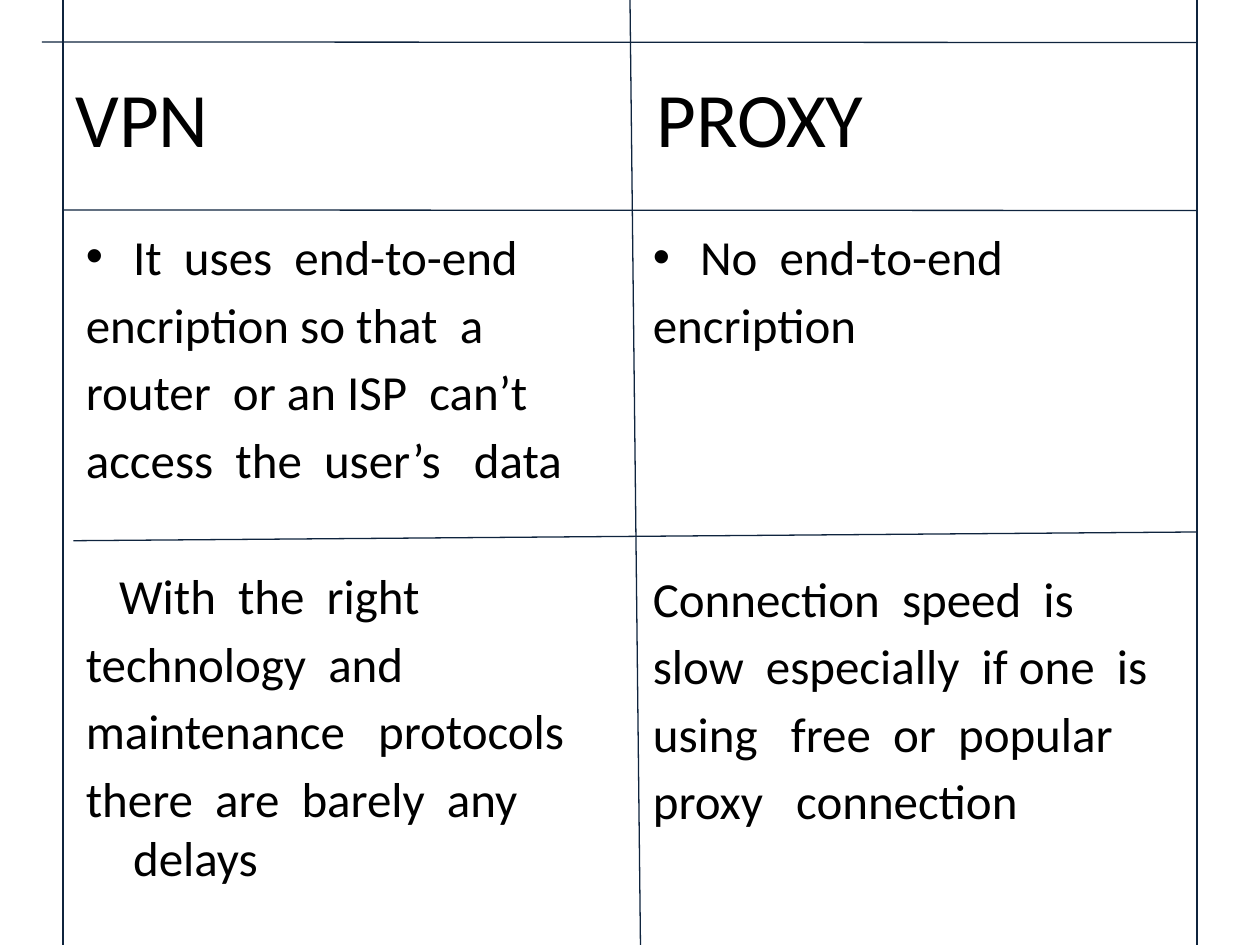
from lxml.etree import SubElement
from pptx import Presentation
from pptx.dml.color import RGBColor
from pptx.enum.shapes import MSO_CONNECTOR
from pptx.enum.text import MSO_ANCHOR, PP_ALIGN
from pptx.oxml.ns import qn
from pptx.util import Pt

COLORS = {"text": "000000", "line": "0F243E"}
FONT = "Calibri"
HANGING = 27
SPACE = 5
PITCH = 39.3  # one line of body text with its spacing


def style_spans(para, size):
    for span in para.runs:
        span.font.name = FONT
        span.font.size = Pt(size)
        span.font.color.rgb = RGBColor.from_string(COLORS["text"])


deck = Presentation()
deck.slide_width, deck.slide_height = Pt(720), Pt(540)
page = deck.slides.add_slide(deck.slide_layouts[5])

# Title: both column headings, set apart by a tab stop
title = page.shapes.title
title.left, title.top, title.width, title.height = Pt(36), Pt(21.6), Pt(648), Pt(90)
title.text_frame.text = "VPN\tPROXY"
title.text_frame.vertical_anchor = MSO_ANCHOR.MIDDLE
heading = title.text_frame.paragraphs[0]
heading.alignment = PP_ALIGN.LEFT
tabs = SubElement(heading._p.get_or_add_pPr(), qn("a:tabLst"))
SubElement(tabs, qn("a:tab"), pos=str(Pt(332)), algn="l")
style_spans(heading, 44)

# Columns: left, width, height, blank lines between groups,
# first-line offset of the second group, and the two groups of lines
columns = [
    (42, 324, 366, 1, 19, [
        ["It  uses  end-to-end", "encription so that  a",
         "router  or an ISP  can’t", "access  the  user’s   data"],
        ["With  the  right", "technology  and", "maintenance   protocols",
         "there  are  barely  any delays"],
    ]),
    (366, 318, 356, 3, 0, [
        ["No  end-to-end", "encription"],
        ["Connection  speed  is", "slow  especially  if one  is",
         "using   free  or  popular", "proxy   connection"],
    ]),
]
for left, width, height, blanks, offset, (first, second) in columns:
    box = page.shapes.add_textbox(Pt(left), Pt(126), Pt(width), Pt(height))
    frame = box.text_frame
    frame.word_wrap = True
    frame.text = "\n".join(first + second)
    for index, para in enumerate(frame.paragraphs):
        starts_second = index == len(first)
        para.space_before = Pt(SPACE + blanks * PITCH if starts_second else SPACE)
        properties = para._p.get_or_add_pPr()
        properties.set("marL", str(Pt(HANGING)))
        properties.set("indent", str(Pt((offset if starts_second else 0) - HANGING)))
        if index == 0:
            SubElement(properties, qn("a:buFont"), typeface="Arial")
            SubElement(properties, qn("a:buChar"), char="•")
        style_spans(para, 28)

# Ruled lines: three upright, three across
rules = [
    (360, 0, 366, 540),
    (36, 0, 36, 540),
    (684, 0, 684, 540),
    (24, 24, 684, 24.3),
    (36, 120, 684, 120.3),
    (42, 309, 684, 304),
]
for ends in rules:
    rule = page.shapes.add_connector(MSO_CONNECTOR.STRAIGHT, *map(Pt, ends))
    rule.line.color.rgb = RGBColor.from_string(COLORS["line"])
    rule.line.width = Pt(0.75)
    SubElement(rule._element.spPr, qn("a:effectLst"))

deck.save("out.pptx")
